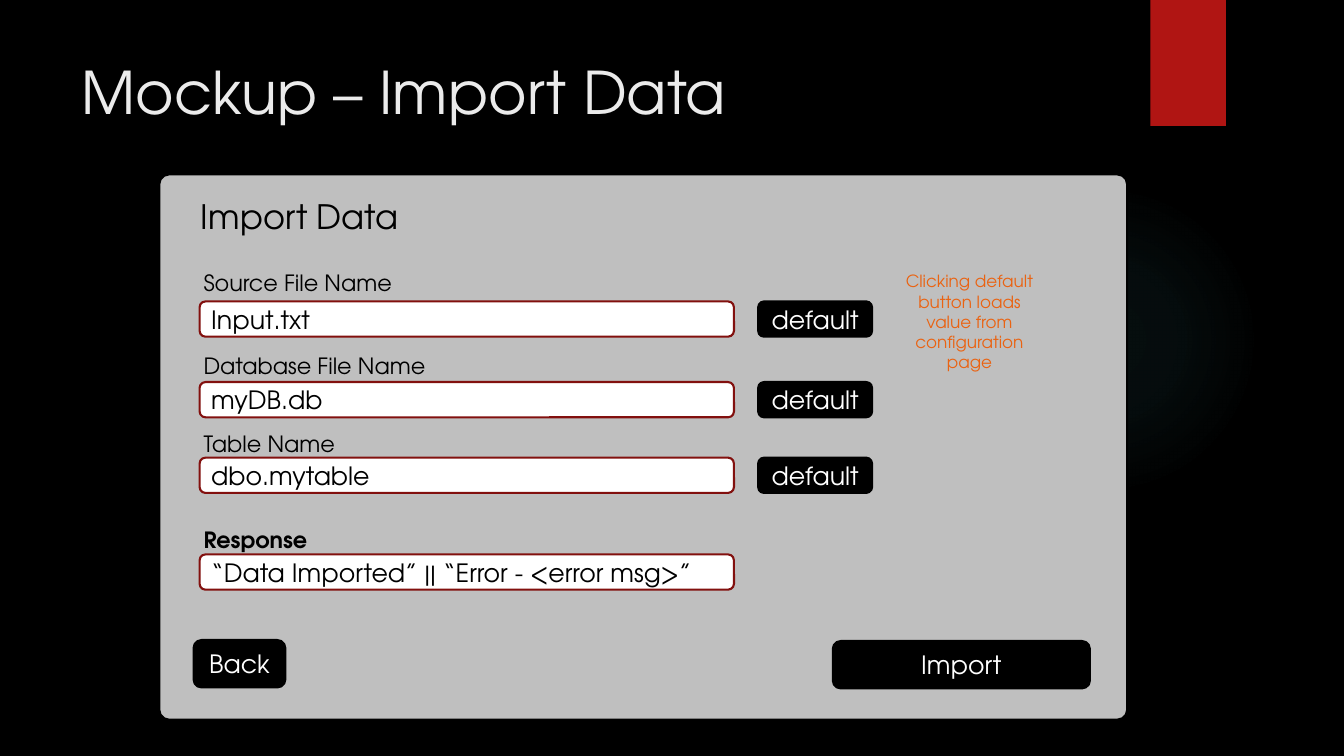
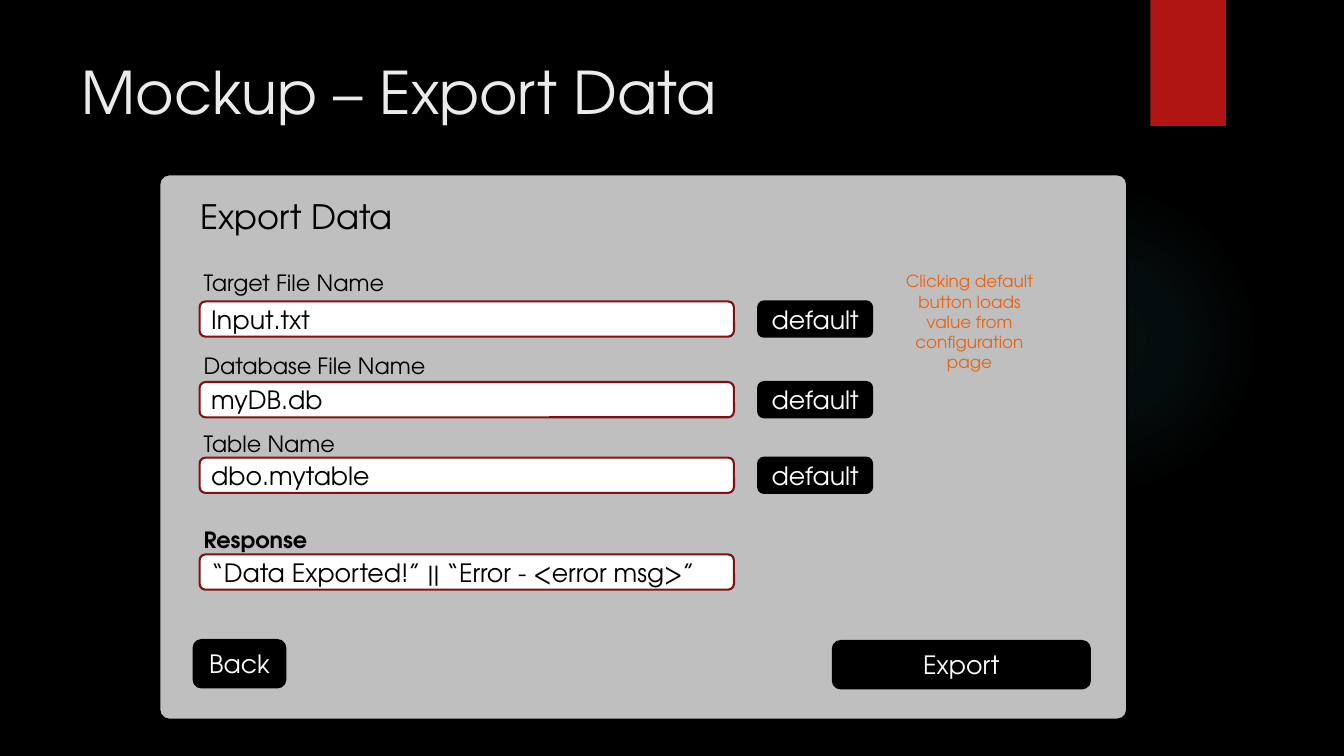
import pptx
import pptx.util
import pptx.dml.color
import pptx.enum.shapes
import pptx.enum.text
import pptx.oxml
import pptx.oxml.ns

PAGES = [
    {"verb": "Import", "file": "Source", "done": "Imported"},
    {"verb": "Export", "file": "Target", "done": "Exported!"},
]
ROWS = [
    ("{file} File Name", "Input.txt", 2.62, 2.99, True),
    ("Database File Name", "myDB.db", 3.44, 3.79, True),
    ("Table Name", "dbo.mytable", 4.22, 4.54, True),
    ("Response", "“Data {done}” || “Error - <error msg>”", 5.17, 5.5, False),
]
HINT = "Clicking default button loads value from configuration page"
GLOW = [(0, 7), (36, 6), (69, 0)]

FONT = "TeX Gyre Adventor"
RGB = pptx.dml.color.RGBColor
BLACK = RGB(0x00, 0x00, 0x00)
WHITE = RGB(0xFF, 0xFF, 0xFF)
PALE = RGB(0xEB, 0xEB, 0xEB)
GREY = RGB(0xBF, 0xBF, 0xBF)
RED = RGB(0xB0, 0x15, 0x13)
DARK = RGB(0x82, 0x10, 0x0E)
ORANGE = RGB(0xEA, 0x63, 0x12)
TEAL = RGB(0x50, 0xB9, 0xC1)

Inches = pptx.util.Inches
KIND = pptx.enum.shapes.MSO_SHAPE
ALIGN = pptx.enum.text.PP_ALIGN
ANCHOR = pptx.enum.text.MSO_ANCHOR

LEFT, WIDE, HIGH = 1.98, 5.3, 0.35


def write(text, frame, size=18, color=BLACK, bold=False, align=ALIGN.LEFT,
          anchor=ANCHOR.TOP):
    frame.word_wrap = True
    frame.vertical_anchor = anchor
    line = frame.paragraphs[0]
    line.alignment = align
    run = line.add_run()
    run.text = text
    run.font.name = FONT
    run.font.size = pptx.util.Pt(size)
    run.font.bold = bold
    run.font.color.rgb = color


def label(slide, text, box, **style):
    area = slide.shapes.add_textbox(*map(Inches, box))
    write(text, area.text_frame, **style)


def block(slide, kind, box, fill=None, edge=None):
    shape = slide.shapes.add_shape(kind, *map(Inches, box))
    shape.shadow.inherit = False
    if fill is None:
        shape.fill.background()
    else:
        shape.fill.solid()
        shape.fill.fore_color.rgb = fill
    if edge is None:
        shape.line.fill.background()
    else:
        shape.line.color.rgb = edge
        shape.line.width = pptx.util.Pt(1.5)
    return shape


def button(slide, text, box):
    shape = block(slide, KIND.ROUNDED_RECTANGLE, box, BLACK, BLACK)
    write(text, shape.text_frame, color=WHITE, align=ALIGN.CENTER,
          anchor=ANCHOR.MIDDLE)


def field(slide, text, top):
    shape = block(slide, KIND.ROUNDED_RECTANGLE, (LEFT, top, WIDE, HIGH),
                  WHITE, DARK)
    write(text, shape.text_frame, anchor=ANCHOR.MIDDLE)


def glow(slide):
    props = block(slide, KIND.OVAL, (9.41, 1.83, 3.08, 3.08))._element.spPr
    stops = "".join(
        f'<a:gs pos="{pos * 1000}"><a:srgbClr val="{TEAL}">'
        f'<a:alpha val="{alpha * 1000}"/></a:srgbClr></a:gs>'
        for pos, alpha in GLOW)
    grad = pptx.oxml.parse_xml(
        f'<a:gradFill {pptx.oxml.ns.nsdecls("a")}><a:gsLst>{stops}</a:gsLst>'
        '<a:path path="circle"><a:fillToRect l="50000" t="50000" r="50000" '
        'b="50000"/></a:path></a:gradFill>')
    props.replace(props.find(pptx.oxml.ns.qn("a:noFill")), grad)


def frame(slide, title):
    glow(slide)
    block(slide, KIND.RECTANGLE, (11.41, 0, 0.75, 1.25), RED)
    label(slide, title, (0.71, 0.5, 10.29, 1.53), size=42, color=PALE)


def mockup(slide, page):
    verb = page["verb"]
    frame(slide, f"Mockup – {verb} Data")
    panel = block(slide, KIND.ROUNDED_RECTANGLE, (1.58, 1.73, 9.6, 5.41),
                  GREY, BLACK)
    panel.adjustments[0] = 0.018
    label(slide, f"{verb} Data", (1.89, 1.89, 3.02, 0.5), size=24)
    button(slide, verb, (8.26, 6.36, 2.55, 0.47))
    button(slide, "Back", (1.92, 6.35, 0.91, 0.47))
    for name, value, head, top, preset in ROWS:
        label(slide, name.format(**page), (1.92, head, 2.95, 0.37), size=16,
              bold=not preset)
        field(slide, value.format(**page), top)
        if preset:
            button(slide, "default", (7.52, top, 1.13, HIGH))
    label(slide, HINT, (8.82, 2.64, 1.59, 1.11), size=12, color=ORANGE,
          align=ALIGN.CENTER)


deck = pptx.Presentation()
deck.slide_width = Inches(13.33)
deck.slide_height = Inches(7.5)
back = deck.slide_master.background.fill
back.solid()
back.fore_color.rgb = BLACK
for page in PAGES:
    mockup(deck.slides.add_slide(deck.slide_layouts[6]), page)
deck.save("out.pptx")
